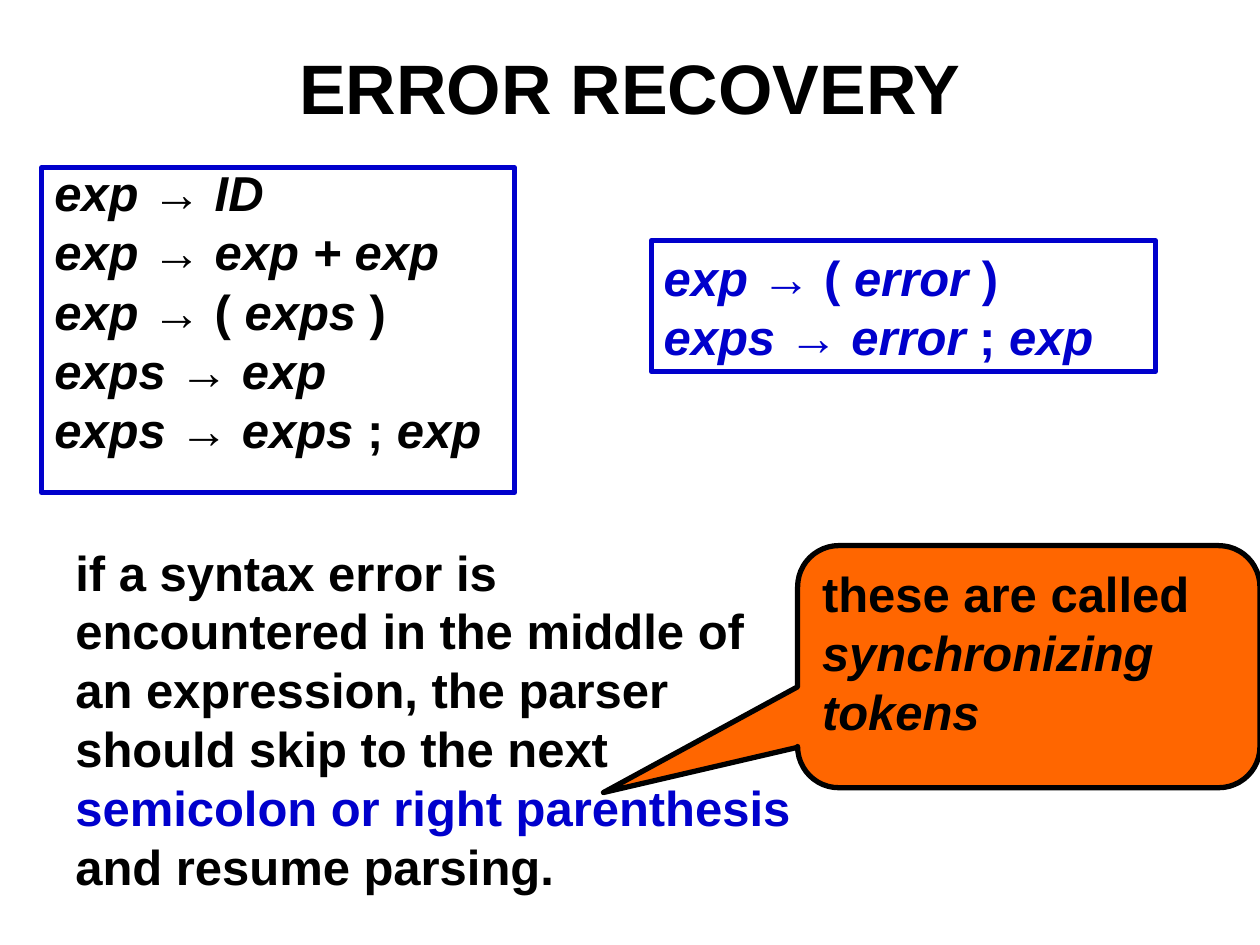
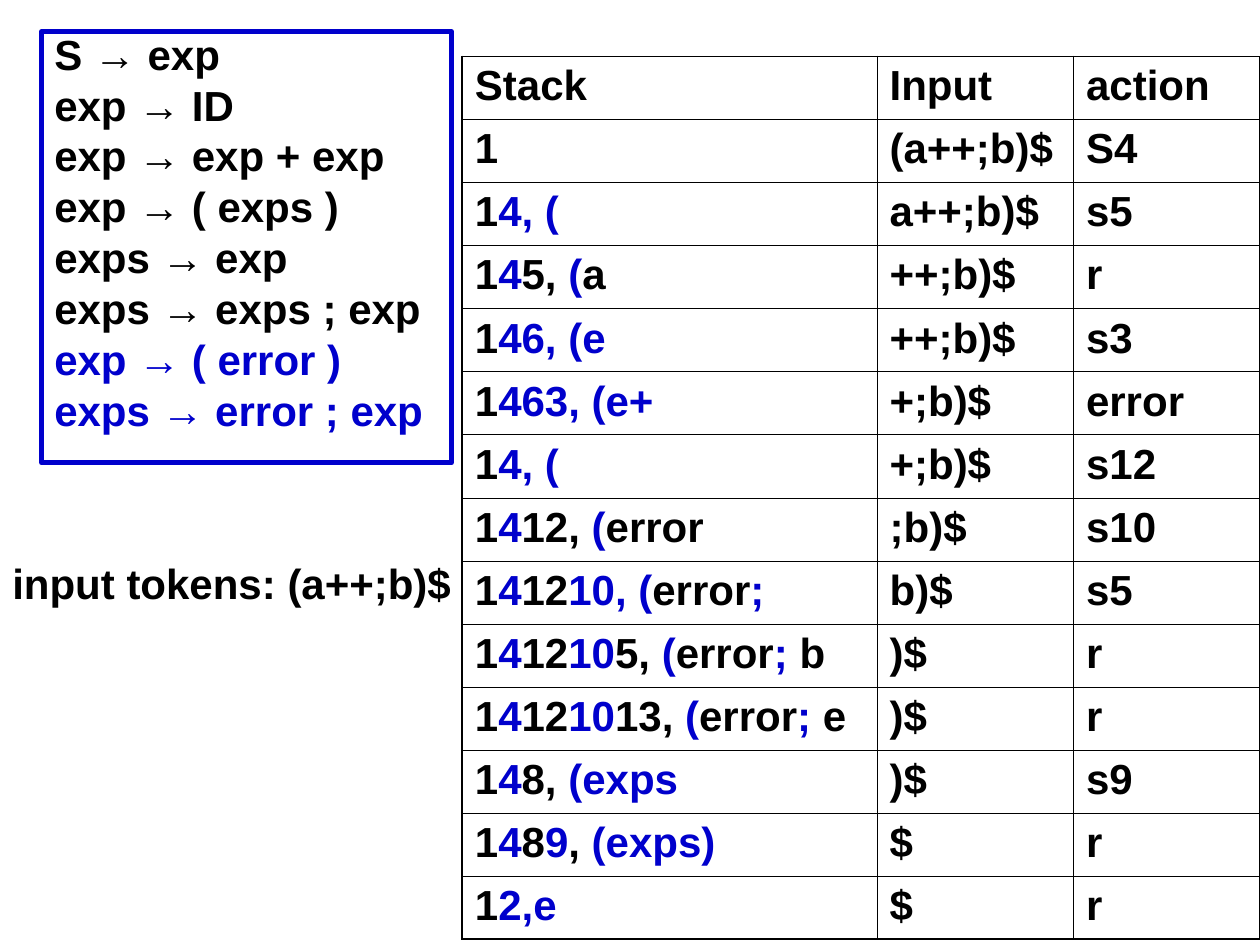
"""Builds two slides on error recovery in a parser."""
from lxml import etree
from pptx import Presentation
from pptx.dml.color import RGBColor
from pptx.enum.shapes import MSO_SHAPE
from pptx.enum.text import MSO_ANCHOR, MSO_AUTO_SIZE, PP_ALIGN
from pptx.oxml.ns import qn
from pptx.util import Cm, Pt

RECTANGLE = MSO_SHAPE.RECTANGLE
CALLOUT = MSO_SHAPE.ROUNDED_RECTANGULAR_CALLOUT
TOP, MIDDLE = MSO_ANCHOR.TOP, MSO_ANCHOR.MIDDLE
LEFT, CENTER = PP_ALIGN.LEFT, PP_ALIGN.CENTER
FIXED = MSO_AUTO_SIZE.NONE

COLORS = {"text": "000000", "accent": "0000CC", "callout": "FF6600"}
FONT = "Arial"
OUTER_LINE, INNER_LINE = 1.08, 0.45


class SlideBuilder:
    """Holds the shared style and the current slide; |bars| mark accent colour, *stars* italics."""

    def __init__(self):
        self.deck = Presentation()
        self.deck.slide_width, self.deck.slide_height = Cm(25.4), Cm(19.05)
        self.page = None

    def color(self, name):
        return RGBColor.from_string(COLORS[name])

    def new_page(self):
        self.page = self.deck.slides.add_slide(self.deck.slide_layouts[1])

    def place(self, shape, area):
        shape.left, shape.top, shape.width, shape.height = map(Cm, area)

    def outline(self, shape, name):
        shape.line.color.rgb = self.color(name)
        shape.line.width = Pt(3)

    def fill_text(self, frame, lines, size, align=LEFT, before=0, spacing=1.0):
        for number, line in enumerate(lines):
            para = frame.add_paragraph() if number else frame.paragraphs[0]
            para.alignment = align
            para.space_before, para.line_spacing = Pt(before), spacing
            para.font.name, para.font.size, para.font.bold = FONT, Pt(size), True
            for part, colored in enumerate(line.split("|")):
                for piece, words in enumerate(colored.split("*")):
                    if words:
                        span = para.add_run()
                        span.text = words
                        span.font.italic = piece % 2 == 1
                        span.font.color.rgb = self.color("accent" if part % 2 else "text")

    def title(self, text, area):
        box = self.page.shapes.title
        self.place(box, area)
        box.text_frame.auto_size = FIXED
        self.fill_text(box.text_frame, [text], 40, CENTER)

    def drop_title(self):
        element = self.page.shapes.title.element
        element.getparent().remove(element)

    def grammar(self, lines, area, size, before):
        box = self.page.placeholders[1]
        self.place(box, area)
        self.outline(box, "accent")
        box.text_frame.auto_size = FIXED
        self.fill_text(box.text_frame, lines, size, before=before, spacing=0.8)
        for para in box.text_frame.paragraphs:
            properties = para._p.get_or_add_pPr()
            properties.set("marL", str(Cm(0.95)))
            properties.set("indent", str(-Cm(0.95)))
            properties.insert_element_before(
                etree.Element(qn("a:buNone")), "a:tabLst", "a:defRPr", "a:extLst")

    def panel(self, lines, area, line, kind=RECTANGLE, fill=None, anchor=MIDDLE):
        box = self.page.shapes.add_shape(kind, *map(Cm, area))
        box.shadow.inherit = False
        self.outline(box, line)
        if fill:
            box.fill.solid()
            box.fill.fore_color.rgb = self.color(fill)
        else:
            box.fill.background()
        box.text_frame.word_wrap = True
        box.text_frame.vertical_anchor = anchor
        self.fill_text(box.text_frame, lines, 28)
        return box

    def callout(self, lines, area, adjustments):
        box = self.panel(lines, area, "text", CALLOUT, "callout", TOP)
        for number, value in enumerate(adjustments):
            box.adjustments[number] = value

    def text(self, line, area, size, anchor=TOP, wrap=True, **spacing):
        frame = self.page.shapes.add_textbox(*map(Cm, area)).text_frame
        frame.word_wrap, frame.vertical_anchor = wrap, anchor
        self.fill_text(frame, [line], size, **spacing)

    def border(self, cell, side, width):
        line = etree.SubElement(cell._tc.get_or_add_tcPr(), qn("a:ln" + side), w=str(Pt(width)))
        fill = etree.SubElement(line, qn("a:solidFill"))
        etree.SubElement(fill, qn("a:srgbClr"), val=COLORS["text"])

    def table(self, rows, left, top, widths, row_height):
        last_row, last_column = len(rows) - 1, len(widths) - 1
        area = (left, top, sum(widths), row_height * len(rows))
        table = self.page.shapes.add_table(len(rows), len(widths), *map(Cm, area)).table
        table.first_row = table.horz_banding = False
        for column, width in zip(table.columns, widths):
            column.width = Cm(width)
        for r, row in enumerate(rows):
            table.rows[r].height = Cm(row_height)
            for c, words in enumerate(row):
                cell = table.cell(r, c)
                edges = {"L": c == 0, "R": c == last_column, "T": r == 0, "B": r == last_row}
                for side, outer in edges.items():
                    self.border(cell, side, OUTER_LINE if outer else INNER_LINE)
                cell.fill.background()
                self.fill_text(cell.text_frame, [words], 24, before=6)


GRAMMAR = [
    "*exp → ID*",
    "*exp → exp + exp*",
    "*exp* → ( *exps* )",
    "*exps → exp*",
    "*exps → exps* ; *exp*",
]
ERROR_RULES = ["|*exp* → ( *error* )|", "|*exps → error* ; *exp*|"]
ERROR_RULES = ["|*exp*| → ( |*error*| )|".replace("|", "").join("||"),
               "*exps → error* ; *exp*".join("||")]
PLAIN_GRAMMAR = ["S → exp"] + [rule.replace("*", "") for rule in GRAMMAR + ERROR_RULES]

PARSE_STEPS = [
    ("Stack", "Input", "action"),
    ("1", "(a++;b)$", "S4"),
    ("1|4, (|", "a++;b)$", "s5"),
    ("1|4|5, |(|a", "++;b)$", "r"),
    ("1|46, (e|", "++;b)$", "s3"),
    ("1|463, (e+|", "+;b)$", "error"),
    ("1|4, (|", "+;b)$", "s12"),
    ("1|4|12, |(|error", ";b)$", "s10"),
    ("1|4|12|10, (|error|;|", "b)$", "s5"),
    ("1|4|12|10|5, |(|error|; |b", ")$", "r"),
    ("1|4|12|10|13, |(|error|; |e", ")$", "r"),
    ("1|4|8, |(exps|", ")$", "s9"),
    ("1|4|8|9|, |(exps)|", "$", "r"),
    ("1|2,e|", "$", "r"),
]

builder = SlideBuilder()

builder.new_page()
builder.title("ERROR RECOVERY", (1.27, 0.76, 22.86, 1.98))
builder.grammar(GRAMMAR, (0.84, 3.38, 9.53, 6.55), size=28, before=7)
builder.panel(ERROR_RULES, (13.13, 4.85, 10.16, 2.64), "accent")
builder.text(
    "if a syntax error is encountered in the middle of an expression, the parser should "
    "skip to the next |semicolon or right parenthesis| and resume parsing.",
    (1.27, 10.8, 15.04, 7.37), 28, anchor=MIDDLE)
builder.callout(["these are called *synchronizing tokens*"],
                (16.08, 11, 9.32, 4.88), (-0.92, 0.52, 0.17))

builder.new_page()
builder.drop_title()
builder.grammar(PLAIN_GRAMMAR, (0.84, 0.64, 8.26, 8.69), size=24, before=6)
builder.text("input tokens: (a++;b)$", (0, 11.23, 9.35, 1.17), 24,
             wrap=False, before=6, spacing=0.9)
builder.table(PARSE_STEPS, 9.32, 1.14, (8.36, 3.96, 3.76), 1.27)

builder.deck.save("out.pptx")
